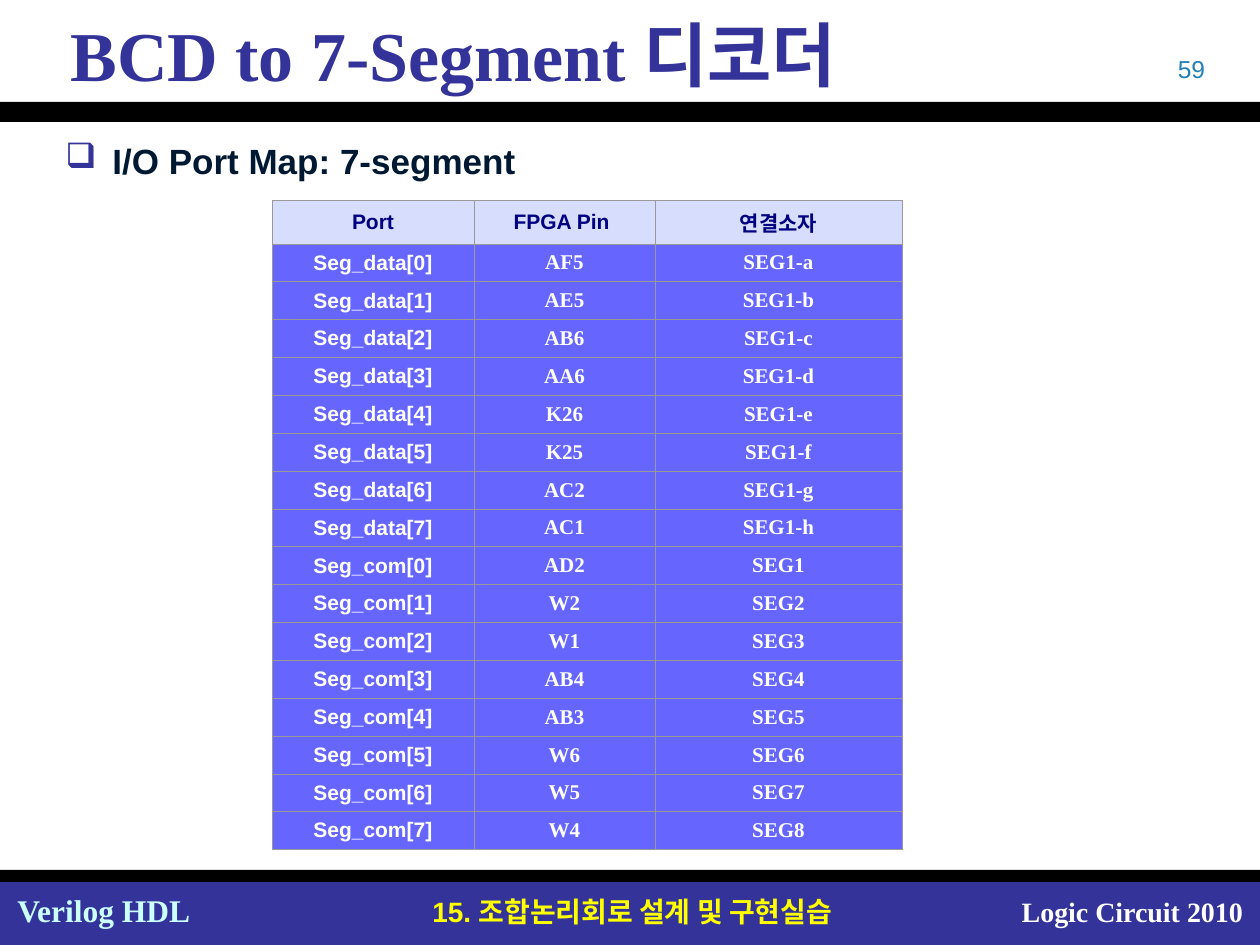
from dataclasses import dataclass

from lxml.etree import SubElement
from pptx import Presentation
from pptx.dml.color import RGBColor
from pptx.enum.shapes import MSO_SHAPE as Shape
from pptx.enum.text import MSO_ANCHOR as Anchor, PP_ALIGN as Align
from pptx.oxml.ns import qn
from pptx.util import Emu, Pt

PX_PER_INCH = 126
PAGE_WIDTH, PAGE_HEIGHT = 1260, 945


@dataclass(frozen=True)
class Theme:
    sans: str = "Arial"
    serif: str = "Times New Roman"
    indigo: str = "333399"
    black: str = "000000"
    white: str = "FFFFFF"
    yellow: str = "FFFF00"
    pale_cyan: str = "CCFFFF"
    page_blue: str = "2181B7"
    ink: str = "001932"
    navy: str = "000080"
    header_fill: str = "D7DEFD"
    body_fill: str = "6666FF"
    grid: str = "999999"
    title_size: int = 40
    heading_size: int = 20
    brand_size: int = 18
    footer_size: int = 16
    page_size: int = 14
    table_size: int = 12
    grid_width: float = 0.45


THEME = Theme()

HEADER = ("Port", "FPGA Pin ", "연결소자")
DATA_PINS = ("AF5", "AE5", "AB6", "AA6", "K26", "K25", "AC2", "AC1")
COM_PINS = ("AD2", "W2", "W1", "AB4", "AB3", "W6", "W5", "W4")


def px(length):
    return Emu(round(length * 914400 / PX_PER_INCH))


def color(code):
    return RGBColor.from_string(code)


def write(frame, text, *, size, ink, font=THEME.sans, bold=True,
          align=Align.LEFT, spacing=None):
    """Fill the first paragraph of a frame with one formatted span."""
    para = frame.paragraphs[0]
    para.alignment = align
    if spacing:
        para.line_spacing = spacing
    span = para.add_run()
    span.text = text
    span.font.name = font
    span.font.size = Pt(size)
    span.font.bold = bold
    span.font.color.rgb = color(ink)
    return para


def add_text(page, area, text, *, anchor=Anchor.TOP, right_inset=13, **style):
    frame = page.shapes.add_textbox(*map(px, area)).text_frame
    frame.word_wrap = True
    frame.vertical_anchor = anchor
    frame.margin_right = px(right_inset)
    return write(frame, text, **style)


def add_bar(page, top, height, fill):
    bar = page.shapes.add_shape(
        Shape.RECTANGLE, 0, px(top), px(PAGE_WIDTH), px(height))
    bar.shadow.inherit = False
    bar.fill.solid()
    bar.fill.fore_color.rgb = color(fill)
    bar.line.fill.background()


def indent(para, left, first=0):
    props = para._p.get_or_add_pPr()
    props.set("marL", str(px(left)))
    props.set("indent", str(px(first)))
    return props


def add_bullet(para, mark, ink, hang):
    props = indent(para, hang, -hang)
    bullet_color = SubElement(props, qn("a:buClr"))
    SubElement(bullet_color, qn("a:srgbClr"), val=ink)
    SubElement(props, qn("a:buChar"), char=mark)


def border_cell(cell):
    props = cell._tc.get_or_add_tcPr()
    for position, side in enumerate(("a:lnL", "a:lnR", "a:lnT", "a:lnB")):
        line = props.makeelement(qn(side), {"w": str(Pt(THEME.grid_width))})
        fill = SubElement(line, qn("a:solidFill"))
        SubElement(fill, qn("a:srgbClr"), val=THEME.grid)
        props.insert(position, line)


def add_port_table(page, rows, left, top, widths, header_height, body_height):
    table = page.shapes.add_table(
        len(rows), len(widths), px(left), px(top),
        px(sum(widths)), px(header_height + body_height)).table
    table.first_row = table.horz_banding = False
    for column, width in zip(table.columns, widths):
        column.width = px(width)
    row_height = px(body_height / (len(rows) - 1))
    for r, values in enumerate(rows):
        is_header = r == 0
        table.rows[r].height = px(header_height) if is_header else row_height
        for c, value in enumerate(values):
            cell = table.cell(r, c)
            cell.vertical_anchor = Anchor.MIDDLE
            cell.fill.solid()
            cell.fill.fore_color.rgb = color(
                THEME.header_fill if is_header else THEME.body_fill)
            border_cell(cell)
            write(cell.text_frame, value, size=THEME.table_size,
                  ink=THEME.navy if is_header else THEME.white,
                  font=THEME.sans if is_header or c == 0 else THEME.serif,
                  align=Align.CENTER)


def port_rows():
    data = [(f"Seg_data[{i}]", pin, f"SEG1-{segment}")
            for i, (pin, segment) in enumerate(zip(DATA_PINS, "abcdefgh"))]
    com = [(f"Seg_com[{i}]", pin, f"SEG{i + 1}")
           for i, pin in enumerate(COM_PINS)]
    return [HEADER, *data, *com]


def main():
    deck = Presentation()
    deck.slide_width, deck.slide_height = px(PAGE_WIDTH), px(PAGE_HEIGHT)
    page = deck.slides.add_slide(deck.slide_layouts[6])

    # Page frame
    add_bar(page, 882, 63, THEME.indigo)
    add_bar(page, 102, 20, THEME.black)
    add_bar(page, 870, 12, THEME.black)

    # Footer
    add_text(page, (387, 888, 491, 47), "15. 조합논리회로 설계 및 구현실습",
             size=THEME.footer_size, ink=THEME.yellow, align=Align.CENTER)
    add_text(page, (993, 888, 263, 47), "Logic Circuit 2010",
             size=THEME.footer_size, ink=THEME.white, font=THEME.serif,
             align=Align.RIGHT)
    add_text(page, (5, 885, 199, 50), "Verilog HDL", right_inset=2,
             size=THEME.brand_size, ink=THEME.pale_cyan, font=THEME.serif)

    # Page number and title
    add_text(page, (924, 48, 294, 42), "59", size=THEME.page_size,
             ink=THEME.page_blue, bold=False, align=Align.RIGHT)
    title = add_text(page, (21, 13, 1218, 82), "BCD to 7-Segment 디코더",
                     anchor=Anchor.MIDDLE, size=THEME.title_size,
                     ink=THEME.indigo, font=THEME.serif)
    indent(title, 37)

    # Port map
    add_port_table(page, port_rows(), left=272, top=200,
                   widths=(202, 181, 247), header_height=44, body_height=606)
    heading = add_text(page, (53, 125, 573, 89), "I/O Port Map: 7-segment",
                       size=THEME.heading_size, ink=THEME.ink, spacing=1.2)
    add_bullet(heading, "❑", THEME.indigo, hang=47)

    deck.save("out.pptx")


if __name__ == "__main__":
    main()
